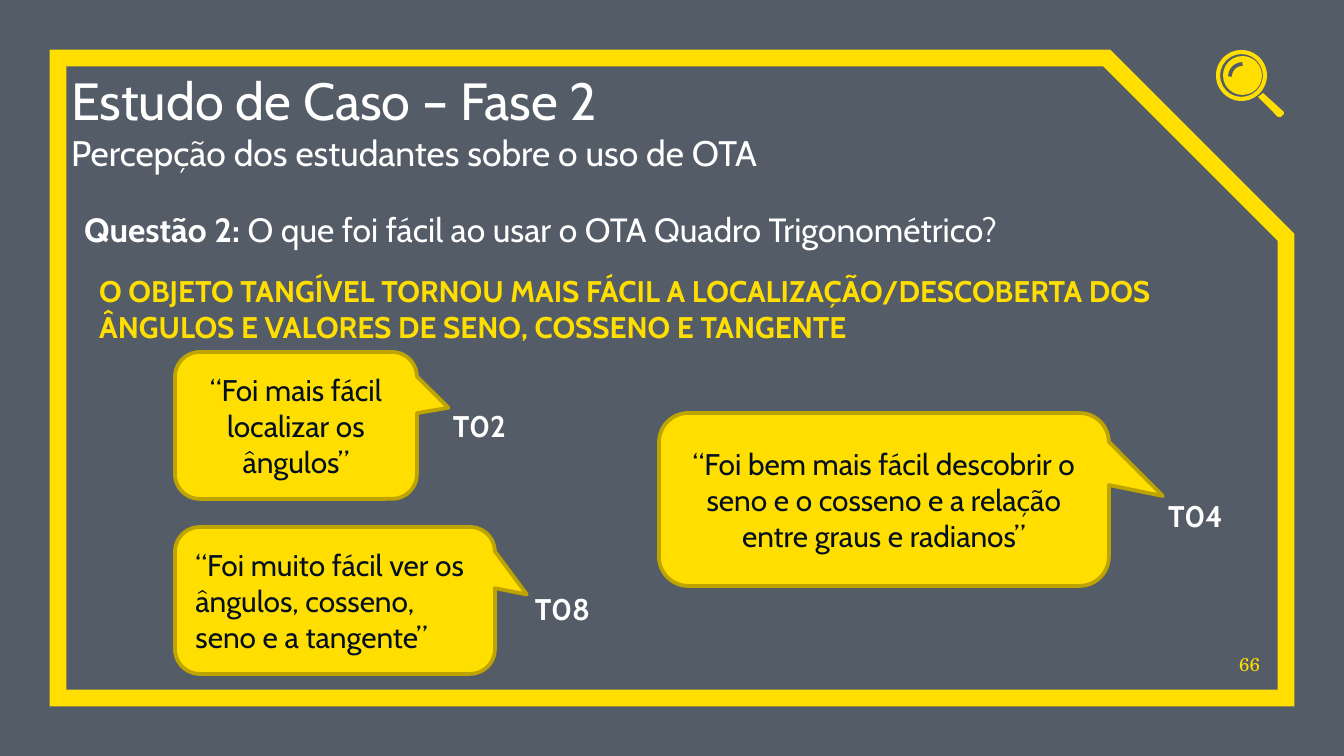
from lxml import etree
from pptx import Presentation
from pptx import util as u
from pptx.dml.color import RGBColor
from pptx.enum import shapes, text
from pptx.oxml import ns

SLATE = RGBColor(0x54, 0x5C, 0x67)
INK = RGBColor(0x04, 0x0F, 0x20)
YELLOW = RGBColor(0xFF, 0xDE, 0x00)
OLIVE = RGBColor(0xBD, 0xA4, 0x00)
WHITE = RGBColor(0xFF, 0xFF, 0xFF)
SANS, SERIF = "Cabin", "TeX Gyre Schola"
LEFT, CENTER, RIGHT = text.PP_ALIGN.LEFT, text.PP_ALIGN.CENTER, text.PP_ALIGN.RIGHT
TOP, MIDDLE, BOTTOM = text.MSO_ANCHOR.TOP, text.MSO_ANCHOR.MIDDLE, text.MSO_ANCHOR.BOTTOM
SHAPE = shapes.MSO_SHAPE
SCALE = 914400 / 134.4


def px(n):
    return u.Emu(round(n * SCALE))


class Deck:
    def __init__(self, width, height):
        self.prs = Presentation()
        self.prs.slide_width, self.prs.slide_height = px(width), px(height)
        self.s = self.prs.slides.add_slide(self.prs.slide_layouts[5])
        fill = self.s.background.fill
        fill.solid()
        fill.fore_color.rgb = SLATE

    def paint(self, sp, fill=None, line=None, weight=0):
        sp.shadow.inherit = False
        if fill is None:
            sp.fill.background()
        else:
            sp.fill.solid()
            sp.fill.fore_color.rgb = fill
        if line is None:
            sp.line.fill.background()
        else:
            sp.line.color.rgb = line
            sp.line.width = u.Pt(weight)

    def shape(self, kind, box, adj=(), fill=None, line=None, weight=0):
        sp = self.s.shapes.add_shape(kind, *map(px, box))
        for i, value in enumerate(adj):
            sp.adjustments[i] = value
        self.paint(sp, fill, line, weight)
        return sp

    def outline(self, points, fill):
        builder = self.s.shapes.build_freeform(*points[0], scale=SCALE)
        builder.add_line_segments(points[1:], close=True)
        self.paint(builder.convert_to_shape(), fill)

    def frame(self, box, snip):
        sp = self.shape(SHAPE.SNIP_1_RECTANGLE, box, [snip], line=YELLOW, weight=9)
        ln = sp._element.spPr.find(ns.qn("a:ln"))
        etree.SubElement(ln, ns.qn("a:miter"), lim="800000")

    def put_text(self, sp, paragraphs, color, align=LEFT, anchor=TOP, font=SANS, inset=None):
        tf = sp.text_frame
        tf.word_wrap = True
        tf.auto_size = text.MSO_AUTO_SIZE.NONE
        tf.vertical_anchor = anchor
        if inset is not None:
            tf.margin_left = tf.margin_top = tf.margin_right = tf.margin_bottom = px(inset)
        for i, runs in enumerate(paragraphs):
            p = tf.add_paragraph() if i else tf.paragraphs[0]
            p.alignment = align
            for words, size, bold in runs:
                r = p.add_run()
                r.text = words
                r.font.name, r.font.size, r.font.bold = font, u.Pt(size), bold
                r.font.color.rgb = color

    def title(self, box, paragraphs):
        sp = self.s.shapes.title
        sp.left, sp.top, sp.width, sp.height = map(px, box)
        self.put_text(sp, paragraphs, WHITE, anchor=BOTTOM, inset=0)
        for p in sp.text_frame.paragraphs:
            for r in p.runs:
                self.text_shadow(r)

    def text_shadow(self, r):
        effects = etree.Element(ns.qn("a:effectLst"))
        shadow = etree.SubElement(effects, ns.qn("a:outerShdw"), blurRad="38100",
                                  dist="38100", dir="2700000", algn="tl")
        color = etree.SubElement(shadow, ns.qn("a:srgbClr"), val="000000")
        etree.SubElement(color, ns.qn("a:alpha"), val="43000")
        r._r.rPr.find(ns.qn("a:solidFill")).addnext(effects)

    def label(self, box, runs, color, **style):
        self.put_text(self.s.shapes.add_textbox(*map(px, box)), [runs], color, **style)

    def callout(self, box, tip, words, align, code, code_at):
        sp = self.shape(SHAPE.ROUNDED_RECTANGULAR_CALLOUT, box, [*tip, 0.17], YELLOW, OLIVE, 2)
        self.put_text(sp, [[(words, 16, False)]], INK, align, MIDDLE)
        self.label((*code_at, 85, 50), [(code, 16, True)], WHITE, align=CENTER)

    def magnifier(self):
        self.shape(SHAPE.DONUT, (1216, 50, 51, 51), [0.08], YELLOW)
        self.shape(SHAPE.OVAL, (1223, 56, 39, 39), fill=YELLOW)
        self.shape(SHAPE.ARC, (1230, 64, 25, 25), [108, 162], line=SLATE, weight=2)
        self.outline([(1263, 93), (1258, 97), (1278, 117), (1281, 117),
                      (1284, 114), (1284, 112)], YELLOW)


def main():
    deck = Deck(1344, 756)
    deck.frame((58, 58, 1228, 640), 0.28)
    deck.label((1224, 637, 36, 38), [("66", 10, False)], YELLOW,
               align=RIGHT, anchor=BOTTOM, font=SERIF, inset=0)
    deck.magnifier()
    deck.title((71, 73, 1130, 101), [
        [("Estudo de Caso – Fase 2", 28, False)],
        [("Percepção dos estudantes sobre o uso de OTA", 19, False)],
    ])
    deck.label((71, 202, 1085, 54), [
        ("Questão 2: ", 18, True),
        ("O que foi fácil ao usar o OTA Quadro Trigonométrico?", 18, False),
    ], WHITE)
    deck.label((86, 266, 1172, 86), [
        ("O OBJETO TANGÍVEL TORNOU MAIS FÁCIL A LOCALIZAÇÃO/DESCOBERTA DOS "
         "ÂNGULOS E VALORES DE SENO, COSSENO E TANGENTE", 16, True),
    ], YELLOW)
    for quote in (
        ((175, 352, 242, 147), (0.63, -0.12), "“Foi mais fácil localizar os ângulos”",
         CENTER, "T02", (437, 401)),
        ((659, 413, 450, 173), (0.62, -0.02),
         "“Foi bem mais fácil descobrir o seno e o cosseno e a relação entre graus e radianos”",
         CENTER, "T04", (1153, 491)),
        ((175, 527, 320, 147), (0.6, -0.04),
         "“Foi muito fácil ver os ângulos, cosseno, seno e a tangente”",
         LEFT, "T08", (520, 584)),
    ):
        deck.callout(*quote)
    deck.prs.save("out.pptx")


if __name__ == "__main__":
    main()
